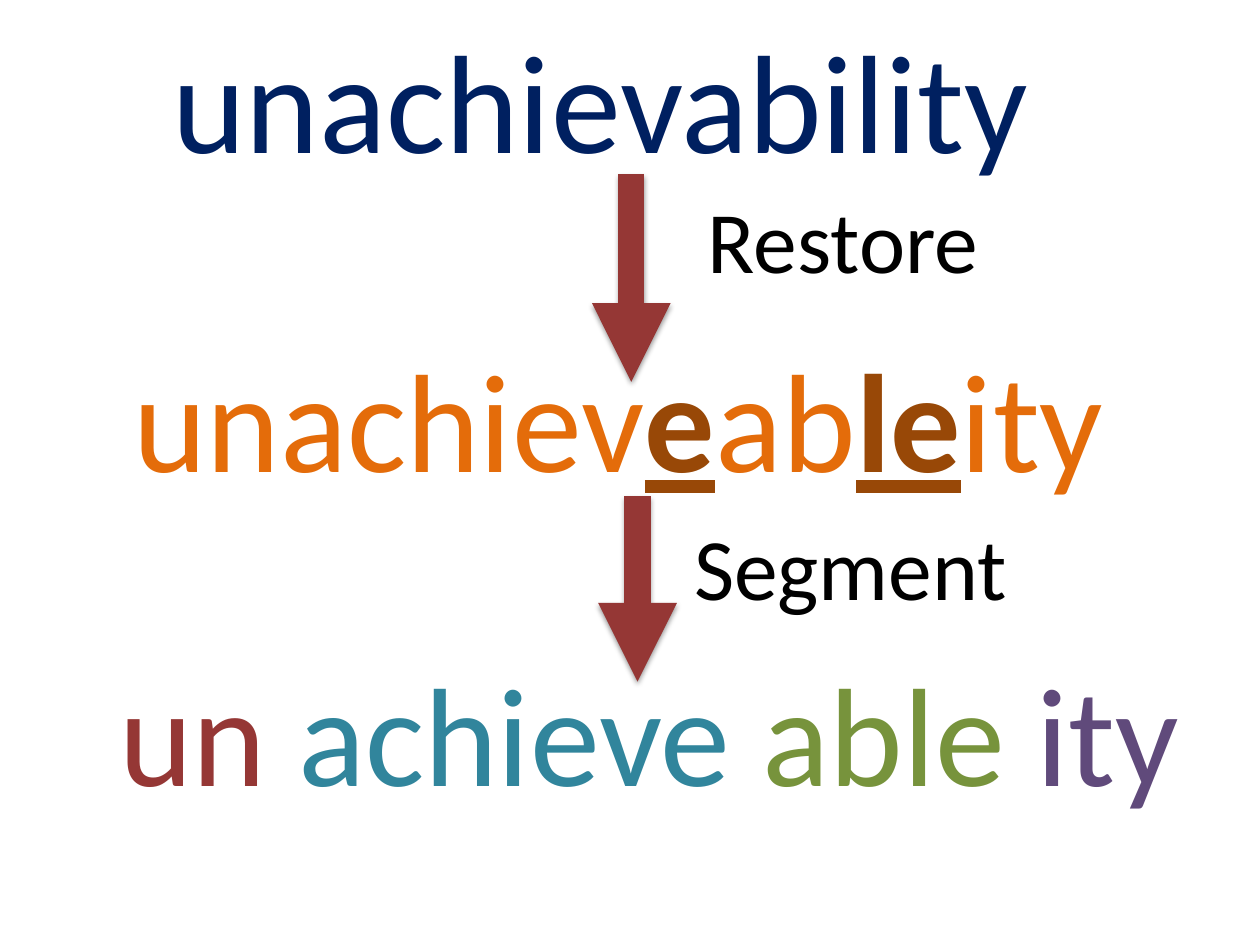
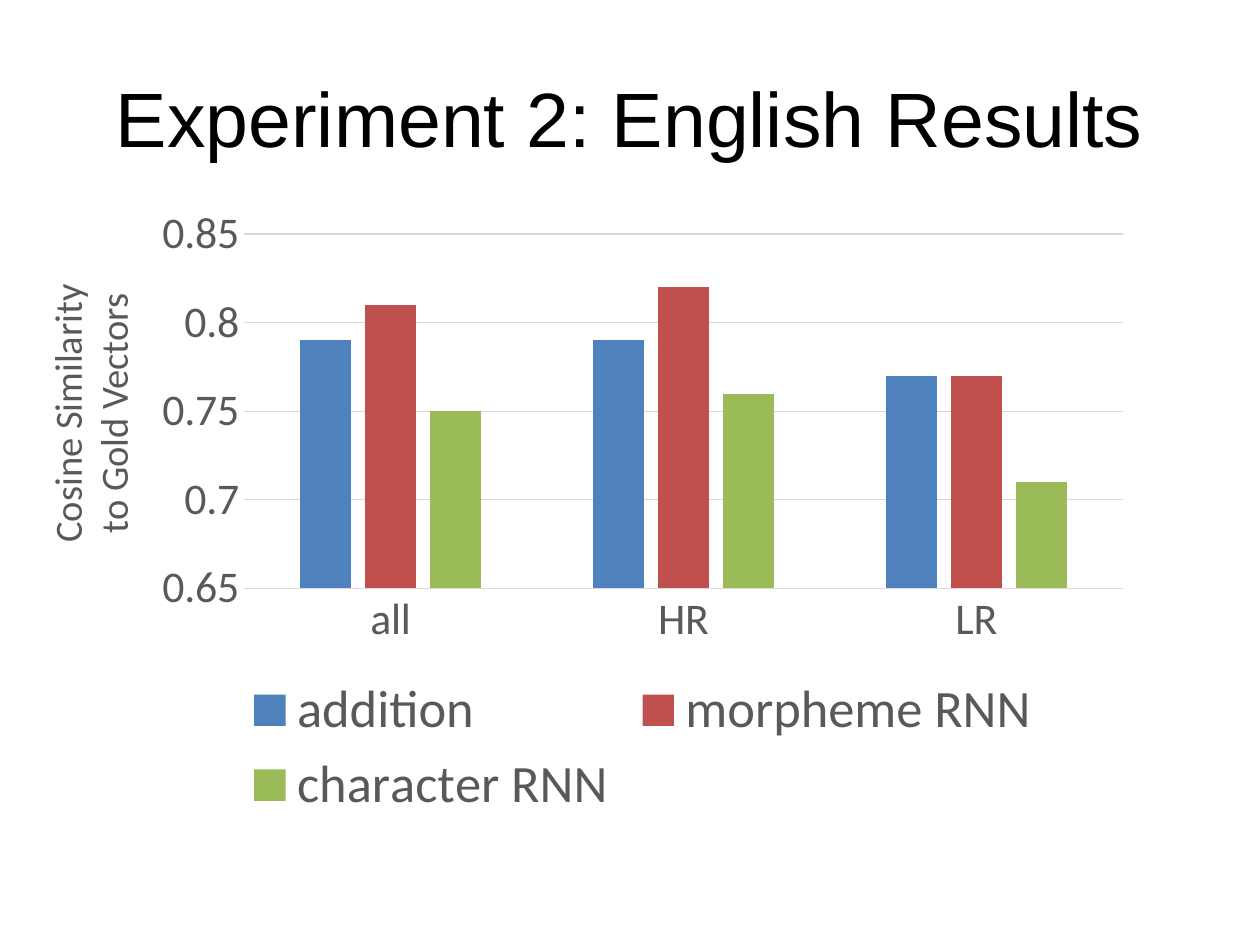
from lxml import etree
from pptx import Presentation
from pptx.chart.data import CategoryChartData
from pptx.dml.color import RGBColor
from pptx.enum.chart import XL_CHART_TYPE as ChartType, XL_LEGEND_POSITION as LegendPosition
from pptx.enum.chart import XL_TICK_MARK as TickMark
from pptx.enum.shapes import MSO_CONNECTOR as Connector, MSO_SHAPE as Shape
from pptx.enum.text import MSO_ANCHOR as Anchor, PP_ALIGN as Align
from pptx.oxml import parse_xml
from pptx.oxml.ns import nsdecls, qn
from pptx.util import Inches, Pt

BLACK = RGBColor(0x00, 0x00, 0x00)
WHITE = RGBColor(0xFF, 0xFF, 0xFF)
GREY = RGBColor(0x59, 0x59, 0x59)
GRID = RGBColor(0xD9, 0xD9, 0xD9)
NAVY = RGBColor(0x00, 0x20, 0x60)
ORANGE = RGBColor(0xE4, 0x6C, 0x0A)
BROWN = RGBColor(0x98, 0x48, 0x07)
MAROON = RGBColor(0x95, 0x37, 0x35)
TEAL = RGBColor(0x31, 0x85, 0x9C)
GREEN = RGBColor(0x77, 0x93, 0x3C)
PURPLE = RGBColor(0x60, 0x4A, 0x7B)
BODY_FONT, TITLE_FONT = "Calibri", "Arial"
WORD_SIZE, STEP_SIZE = 80, 50
TITLE_ONLY, BLANK = 5, 6

WORDS = [
    ((1.27, 0.06, 7.47, 1.45), [("unachievability", NAVY)]),
    ((0.96, 2.59, 8.91, 1.45), [("unachiev", ORANGE), ("e", BROWN), ("ab", ORANGE),
                                ("le", BROWN), ("ity", ORANGE)]),
    ((0.85, 5.08, 8.91, 1.45), [("un ", MAROON), ("achieve ", TEAL), ("able ", GREEN),
                                ("ity", PURPLE)]),
]
STEPS = [
    ("Restore", (5.52, 1.43, 2.71, 0.94), (5.01, 1.38, 3.03)),
    ("Segment", (5.41, 4.02, 2.71, 0.94), (5.06, 3.94, 5.41)),
]
CATEGORIES = ["all", "HR", "LR"]
SERIES = [
    ("addition", [0.79, 0.79, 0.77], RGBColor(0x4F, 0x81, 0xBD)),
    ("morpheme RNN", [0.81, 0.82, 0.77], RGBColor(0xC0, 0x50, 0x4D)),
    ("character RNN", [0.75, 0.76, 0.71], RGBColor(0x9B, 0xBB, 0x59)),
]


def inches(box):
    """Convert a box given in inches to lengths."""
    return [Inches(length) for length in box]


def style_font(font, size, color, name=BODY_FONT):
    """Set the face, size and colour of a font."""
    font.name, font.size = name, Pt(size)
    font.color.rgb = color


def add_text(slide, box, pieces, size):
    """Add one line of coloured pieces, with restored letters emphasised."""
    text_frame = slide.shapes.add_textbox(*inches(box)).text_frame
    text_frame.word_wrap = True
    for text, color in pieces:
        run = text_frame.paragraphs[0].add_run()
        run.text = text
        style_font(run.font, size, color)
        if color == BROWN:
            run.font.bold = run.font.underline = True


def add_down_arrow(slide, x, top, bottom):
    """Draw a thick arrow downwards with a soft shadow."""
    arrow = slide.shapes.add_connector(Connector.STRAIGHT, *inches((x, top, x, bottom)))
    arrow.line.color.rgb = MAROON
    arrow.line.width = Pt(15)
    properties = arrow._element.spPr
    etree.SubElement(properties.find(qn("a:ln")), qn("a:tailEnd"), type="triangle")
    properties.append(parse_xml(
        f'<a:effectLst {nsdecls("a")}><a:outerShdw blurRad="39370" dist="20320" dir="5400000" '
        'rotWithShape="0"><a:srgbClr val="000000"><a:alpha val="38000"/></a:srgbClr>'
        '</a:outerShdw></a:effectLst>'))


def build_segmentation_slide(presentation):
    """Show a word being restored and then segmented."""
    slide = presentation.slides.add_slide(presentation.slide_layouts[BLANK])
    for box, pieces in WORDS:
        add_text(slide, box, pieces, WORD_SIZE)
    for label, box, arrow in STEPS:
        add_down_arrow(slide, *arrow)
        add_text(slide, box, [(label, BLACK)], STEP_SIZE)


def set_title(slide, box, text):
    """Place and format the slide title."""
    title = slide.shapes.title
    title.left, title.top, title.width, title.height = inches(box)
    text_frame = title.text_frame
    text_frame.text = text
    text_frame.vertical_anchor = Anchor.MIDDLE
    paragraph = text_frame.paragraphs[0]
    paragraph.alignment = Align.CENTER
    style_font(paragraph.runs[0].font, 44, BLACK, TITLE_FONT)


def add_results_chart(slide, box):
    """Add the clustered columns of similarity by model."""
    data = CategoryChartData()
    data.categories = CATEGORIES
    for name, values, _ in SERIES:
        data.add_series(name, values)
    chart = slide.shapes.add_chart(ChartType.COLUMN_CLUSTERED, *inches(box), data).chart
    style_font(chart.font, 10, BLACK)
    chart.has_title = False
    chart.has_legend = True
    chart.legend.position = LegendPosition.BOTTOM
    chart.legend.include_in_layout = False
    style_font(chart.legend.font, 30, GREY)

    plot = chart.plots[0]
    plot.vary_by_categories = False
    plot.gap_width, plot.overlap = 219, -27
    for series, (_, _, color) in zip(plot.series, SERIES):
        series.format.fill.solid()
        series.format.fill.fore_color.rgb = color

    value_axis, category_axis = chart.value_axis, chart.category_axis
    for axis in (value_axis, category_axis):
        axis.major_tick_mark = axis.minor_tick_mark = TickMark.NONE
        style_font(axis.tick_labels.font, 25, GREY)
    value_axis.minimum_scale, value_axis.maximum_scale = 0.65, 0.85
    value_axis.major_unit = 0.05
    value_axis.format.line.fill.background()
    for line in (value_axis.major_gridlines.format.line, category_axis.format.line):
        line.color.rgb = GRID
        line.width = Pt(0.75)


def add_axis_label(slide, box, text):
    """Add the upright label of the value axis."""
    label = slide.shapes.add_shape(Shape.RECTANGLE, *inches(box))
    label.rotation = 270
    label.shadow.inherit = False
    label.fill.solid()
    label.fill.fore_color.rgb = WHITE
    label.line.fill.background()
    label.text_frame.word_wrap = True
    label.text_frame.text = text
    for paragraph in label.text_frame.paragraphs:
        paragraph.alignment = Align.CENTER
        style_font(paragraph.runs[0].font, 22, GREY)


def build_results_slide(presentation):
    """Show the English results as a chart."""
    slide = presentation.slides.add_slide(presentation.slide_layouts[TITLE_ONLY])
    set_title(slide, (0.5, 0.3, 9, 1.25), "Experiment 2: English Results")
    add_results_chart(slide, (1.13, 1.55, 7.94, 5.02))
    add_axis_label(slide, (-0.5, 2.86, 2.42, 0.84), "Cosine Similarity\nto Gold Vectors")


def main():
    """Build and save the presentation."""
    presentation = Presentation()
    presentation.slide_width, presentation.slide_height = Inches(10), Inches(7.5)
    build_segmentation_slide(presentation)
    build_results_slide(presentation)
    presentation.save("out.pptx")


if __name__ == "__main__":
    main()
